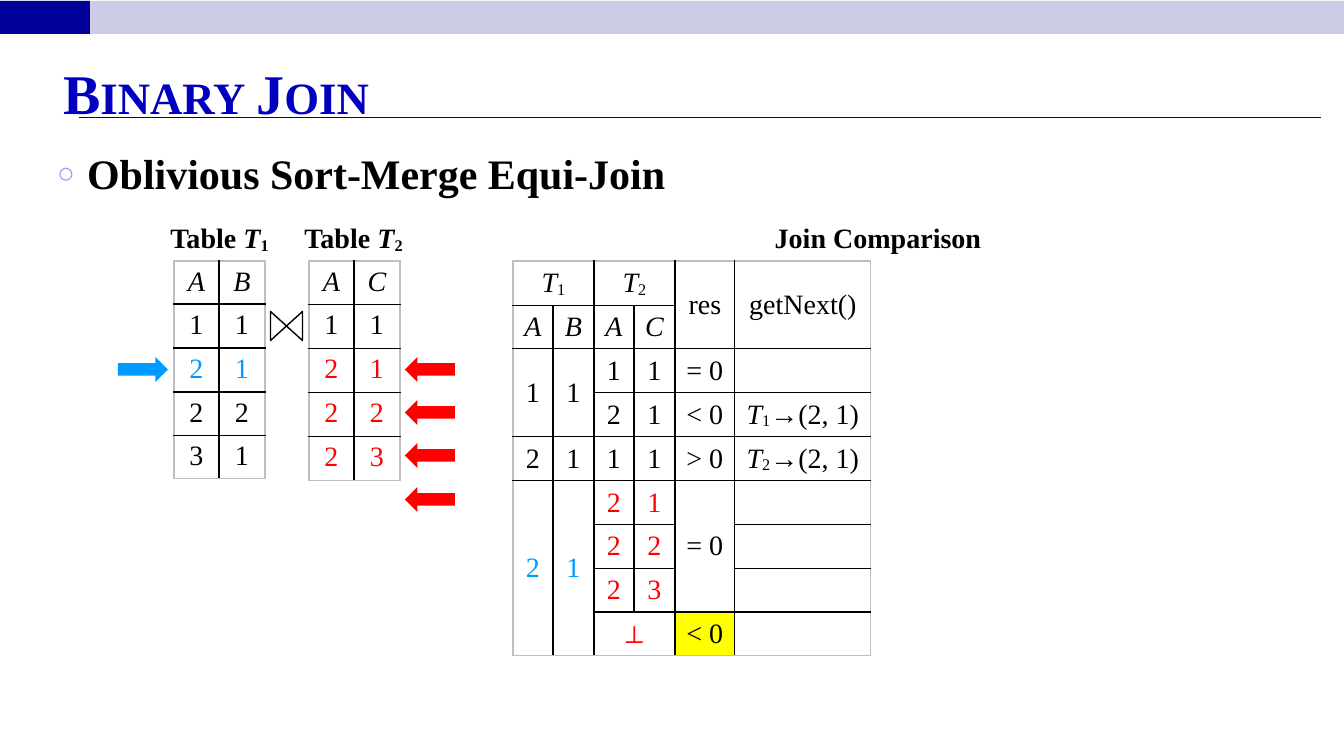
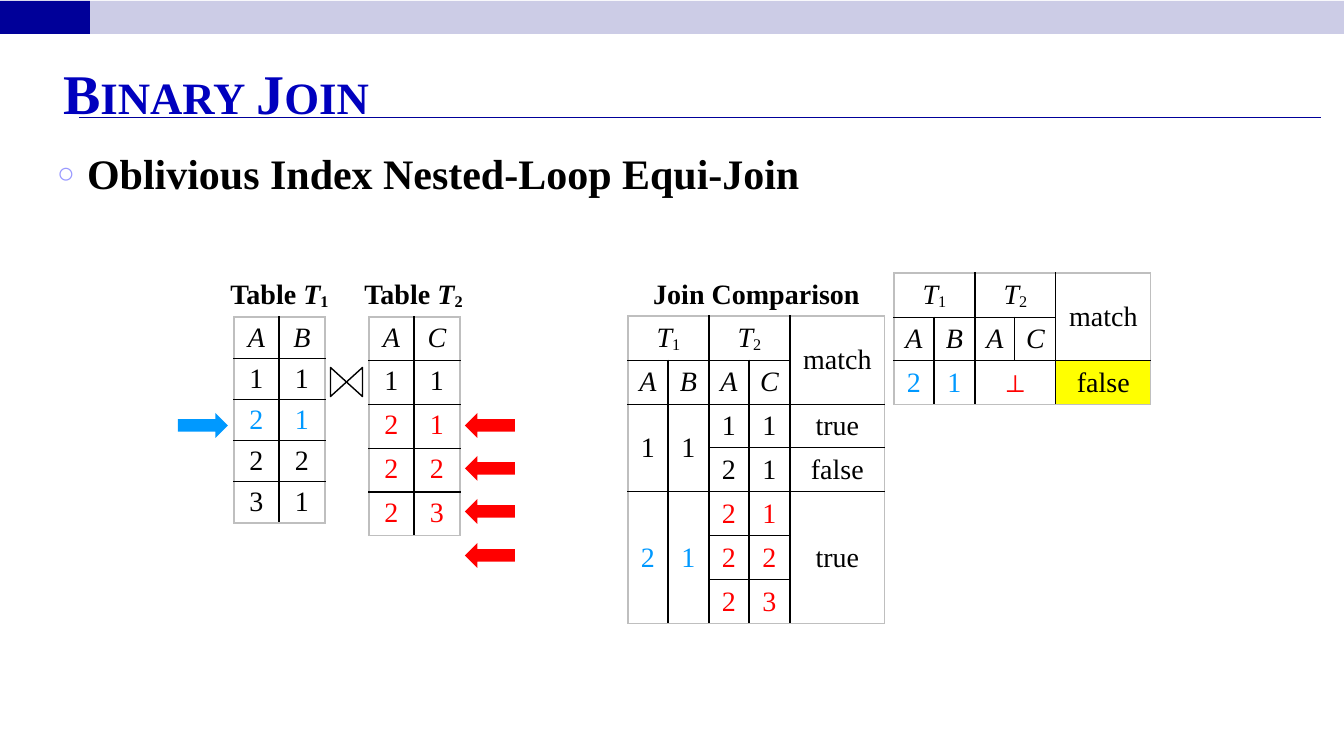
from dataclasses import dataclass
from itertools import product
from typing import NamedTuple

from lxml import etree
from pptx import Presentation
from pptx.dml.color import RGBColor
from pptx.enum.shapes import MSO_CONNECTOR, MSO_SHAPE
from pptx.enum.text import MSO_ANCHOR, MSO_AUTO_SIZE, PP_ALIGN
from pptx.oxml.ns import qn
from pptx.util import Emu, Pt

RECT = MSO_SHAPE.RECTANGLE
WEDGE = MSO_SHAPE.ISOSCELES_TRIANGLE
RIGHT = MSO_SHAPE.RIGHT_ARROW
LEFT = MSO_SHAPE.LEFT_ARROW
LINE = MSO_CONNECTOR.STRAIGHT
TOP, MID, LOW = MSO_ANCHOR.TOP, MSO_ANCHOR.MIDDLE, MSO_ANCHOR.BOTTOM
START, CENTER = PP_ALIGN.LEFT, PP_ALIGN.CENTER
FIXED = MSO_AUTO_SIZE.NONE

FACE = "Times New Roman"
INK, BLUE, RED, YELLOW = "000000", "0099FF", "FF0000", "FFFF00"
NAVY, PALE, TITLE, DOT, EDGE = "000099", "CCCCE6", "0000BE", "9999FF", "BFBFBF"
SCALE = 914400 / 100.8


class Box(NamedTuple):
    x: int
    y: int
    w: int
    h: int


class Area(NamedTuple):
    row: int
    col: int
    tall: int = 1
    wide: int = 1

    def holds(self, row: int, col: int) -> bool:
        return (self.row <= row < self.row + self.tall
                and self.col <= col < self.col + self.wide)


@dataclass(frozen=True)
class Grid:
    x: int
    y: int
    cols: tuple[int, ...]
    rows: tuple[int, ...]
    text: tuple[str, ...]
    spans: tuple[Area, ...] = ()
    hues: tuple[tuple[Area, str], ...] = ()
    mark: Area | None = None
    anchor: MSO_ANCHOR = MID


@dataclass(frozen=True)
class Page:
    head: str
    x: int
    y: int
    rows: tuple[int, ...]
    label: Box
    grids: tuple[Grid, ...]


def px(size: int) -> Emu:
    return Emu(round(size * SCALE))


def rgb(color: str) -> RGBColor:
    return RGBColor.from_string(color)


def place(box: Box) -> tuple[Emu, ...]:
    return tuple(px(size) for size in box)


def style(para, size: int, color: str = INK, bold: bool = False, align=CENTER) -> None:
    para.alignment = align
    font = para.font
    font.name, font.size, font.bold = FACE, Pt(size), bold
    font.color.rgb = rgb(color)


def write(para, text: str) -> None:
    for spot, part in enumerate(text.split("|")):
        if not part:
            continue
        run = para.add_run()
        run.text = part
        if spot % 3 == 1:
            run.font.italic = True
        elif spot % 3 == 2:
            run._r.get_or_add_rPr().set("baseline", "-10000")


def shape(shapes, kind, box: Box, fill: str = "", line: str = "", turn: int = 0) -> None:
    item = shapes.add_shape(kind, *place(box))
    item.shadow.inherit = False
    item.rotation = turn
    if fill:
        item.fill.solid()
        item.fill.fore_color.rgb = rgb(fill)
    else:
        item.fill.background()
    if line:
        item.line.color.rgb = rgb(line)
        item.line.width = Pt(1)
    else:
        item.line.fill.background()
    return item


def label(slide, box: Box, text: str) -> None:
    frame = slide.shapes.add_textbox(*place(box)).text_frame
    frame.word_wrap = True
    frame.margin_left = frame.margin_right = 0
    para = frame.paragraphs[0]
    style(para, 20, bold=True)
    write(para, text)


def border(cell, edges: dict[str, bool]) -> None:
    props = cell._tc.get_or_add_tcPr()
    for spot, (side, outer) in enumerate(edges.items()):
        line = etree.Element(qn(f"a:ln{side}"), w=str(Pt(1)))
        fill = etree.SubElement(line, qn("a:solidFill"))
        etree.SubElement(fill, qn("a:srgbClr"), val=EDGE if outer else INK)
        props.insert(spot, line)


def table(slide, grid: Grid) -> None:
    high, wide = len(grid.rows), len(grid.cols)
    box = Box(grid.x, grid.y, sum(grid.cols), sum(grid.rows))
    tab = slide.shapes.add_table(high, wide, *place(box)).table
    tab.first_row = tab.horz_banding = False
    for col, size in zip(tab.columns, grid.cols):
        col.width = px(size)
    for row, size in zip(tab.rows, grid.rows):
        row.height = px(size)
    for area in grid.spans:
        end = tab.cell(area.row + area.tall - 1, area.col + area.wide - 1)
        tab.cell(area.row, area.col).merge(end)
    words = [line.split(";") for line in grid.text]
    for row, col in product(range(high), range(wide)):
        cell = tab.cell(row, col)
        cell.vertical_anchor = grid.anchor
        if grid.mark and grid.mark.holds(row, col):
            cell.fill.solid()
            cell.fill.fore_color.rgb = rgb(YELLOW)
        else:
            cell.fill.background()
        hue = next((tone for area, tone in grid.hues if area.holds(row, col)), INK)
        para = cell.text_frame.paragraphs[0]
        style(para, 20, hue)
        write(para, words[row][col])
        tall = cell.span_height if cell.is_merge_origin else 1
        broad = cell.span_width if cell.is_merge_origin else 1
        border(cell, {"L": col == 0, "R": col + broad == wide,
                      "T": row == 0, "B": row + tall == high})


def pair(slide, x: int, y: int, rows: tuple[int, ...]) -> None:
    left = ("|A;|B", "1;1", "2;1", "2;2", "3;1")
    right = ("|A;|C", "1;1", "2;1", "2;2", "2;3")
    sides = ((0, left, (Area(2, 0, 1, 2), BLUE)),
             (135, right, (Area(2, 0, 3, 2), RED)))
    for spot, (shift, text, hue) in enumerate(sides, 1):
        table(slide, Grid(x + shift, y, (45, 46), rows, text, hues=(hue,), anchor=TOP))
        label(slide, Box(x - 15 + 134 * (spot - 1), y - 45, 121, 44), f"Table |T|{spot}")
    join = slide.shapes.add_group_shape().shapes
    for shift, turn in ((90, 90), (106, 270)):
        shape(join, WEDGE, Box(x + shift, y + 57, 29, 16), line=INK, turn=turn)
    shape(slide.shapes, RIGHT, Box(x - 56, y + 96, 50, 25), BLUE)
    for step in range(4):
        shape(slide.shapes, LEFT, Box(x + 231, y + 96 + step * 130 // 3, 50, 25), RED)


def frame(slide, layout) -> None:
    rule = slide.shapes.add_connector(LINE, px(79), px(118), px(1321), px(118))
    rule.line.color.rgb = rgb(NAVY)
    rule.line.width = Pt(0.75)
    etree.SubElement(rule._element.spPr, qn("a:effectLst"))
    parts = (shape(slide.shapes, RECT, Box(0, 1, 1344, 33), PALE),
             shape(slide.shapes, RECT, Box(0, 1, 90, 33), NAVY), rule)
    for spot, part in enumerate(parts, 2):
        layout.shapes.element.insert(spot, part.element)


def title(slide, text: str) -> None:
    item = slide.shapes.title
    item.left, item.top, item.width, item.height = place(Box(53, 52, 1235, 75))
    body = item.text_frame
    body.auto_size, body.vertical_anchor = FIXED, LOW
    body.margin_bottom = px(1)
    para = body.paragraphs[0]
    style(para, 40, TITLE, True, START)
    write(para, text)
    para.runs[0]._r.get_or_add_rPr().set("cap", "small")


def bullet(slide, text: str) -> None:
    item = slide.placeholders[1]
    item.left, item.top, item.width, item.height = place(Box(47, 148, 1207, 552))
    body = item.text_frame
    body.auto_size, body.vertical_anchor = FIXED, TOP
    para = body.paragraphs[0]
    props = para._p.get_or_add_pPr()
    props.set("marL", str(px(30)))
    props.set("indent", str(-px(30)))
    tint = etree.SubElement(props, qn("a:buClr"))
    etree.SubElement(tint, qn("a:srgbClr"), val=DOT)
    etree.SubElement(props, qn("a:buSzPct"), val="70000")
    etree.SubElement(props, qn("a:buChar"), char="○")
    para.space_before, para.line_spacing = Pt(6), 0.9
    style(para, 30, bold=True, align=START)
    write(para, text)


HEADS = (Area(0, 0, 1, 2), Area(0, 2, 1, 2), Area(0, 4, 2, 1))
KEYS = (40, 41, 40, 41)
MATCH = ("|T|1;;|T|2;;match", "|A;|B;|A;|C;")

MERGE = Grid(
    513, 261, KEYS + (60, 136), (41, 41, 43) + (41,) * 6 + (),
    ("|T|1;;|T|2;;res;getNext()", "|A;|B;|A;|C;;",
     "1;1;1;1;= 0;", ";;2;1;< 0;|T|1|→(2, 1)", "2;1;1;1;> 0;|T|2|→(2, 1)",
     "2;1;2;1;= 0;", ";;2;2;;", ";;2;3;;", ";;⊥;;< 0;"),
    HEADS + (Area(0, 5, 2), Area(2, 0, 2), Area(2, 1, 2), Area(5, 0, 4),
             Area(5, 1, 4), Area(5, 4, 3), Area(8, 2, 1, 2)),
    ((Area(5, 0, 4, 2), BLUE), (Area(5, 2, 4, 2), RED)), Area(8, 4))

LOOP = Grid(
    628, 316, KEYS + (95,), (44, 44, 43, 44, 43, 44, 44),
    MATCH + ("1;1;1;1;true", ";;2;1;false", "2;1;2;1;true", ";;2;2;", ";;2;3;"),
    HEADS + (Area(2, 0, 2), Area(2, 1, 2), Area(4, 0, 3), Area(4, 1, 3), Area(4, 4, 3)),
    ((Area(4, 0, 3, 2), BLUE), (Area(4, 2, 3, 2), RED)))

LAST = Grid(
    894, 273, KEYS + (95,), (44, 43, 44), MATCH + ("2;1;⊥;;false",),
    HEADS + (Area(2, 2, 1, 2),),
    ((Area(2, 0, 1, 2), BLUE), (Area(2, 2, 1, 2), RED)), Area(2, 4))

PAGES = (
    Page("Oblivious Sort-Merge Equi-Join", 174, 261, (43, 44, 44, 44, 43),
         Box(513, 216, 730, 44), (MERGE,)),
    Page("Oblivious Index Nested-Loop Equi-Join", 234, 317, (41,) * 5,
         Box(628, 272, 257, 44), (LOOP, LAST)),
)


def main() -> None:
    deck = Presentation()
    deck.slide_width, deck.slide_height = px(1344), px(756)
    layout = deck.slide_layouts[1]
    for spot, page in enumerate(PAGES):
        slide = deck.slides.add_slide(layout)
        if spot == 0:
            frame(slide, layout)
        title(slide, "Binary Join")
        bullet(slide, page.head)
        pair(slide, page.x, page.y, page.rows)
        label(slide, page.label, "Join Comparison")
        for grid in page.grids:
            table(slide, grid)
    deck.save("out.pptx")


if __name__ == "__main__":
    main()
